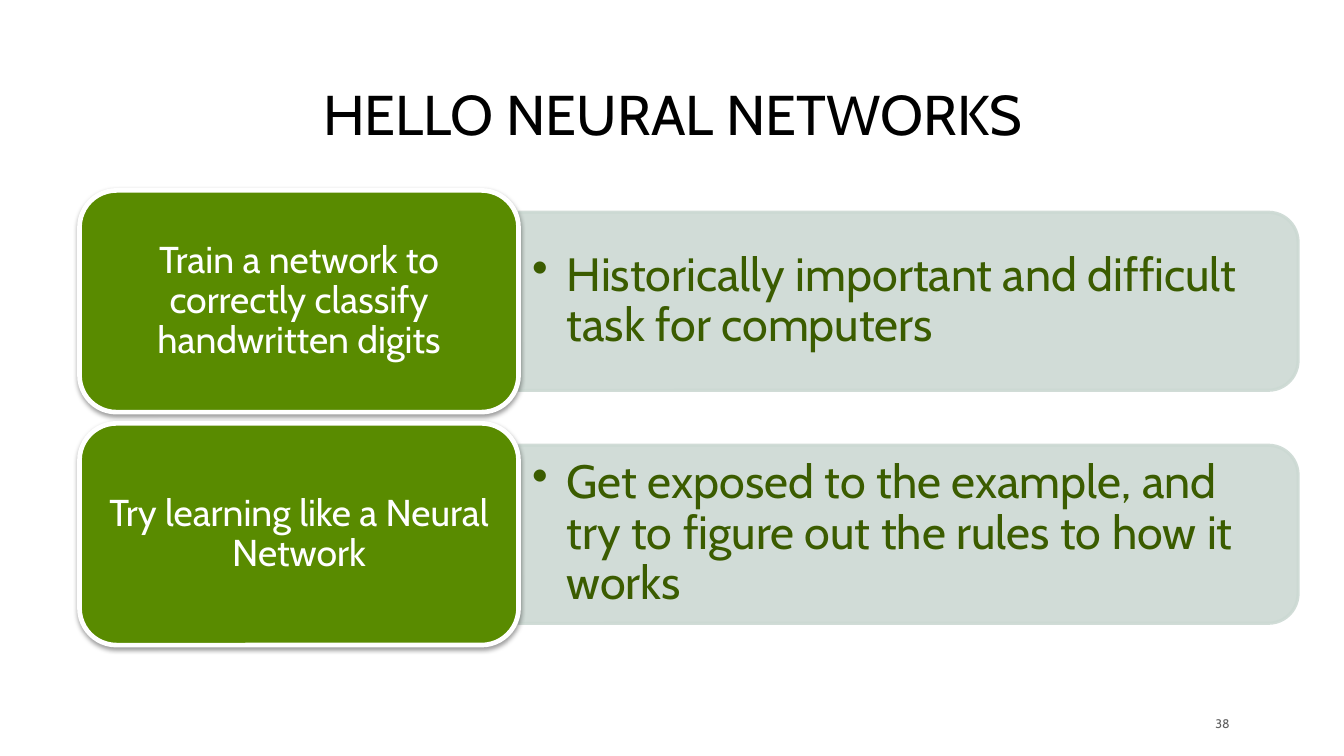
from dataclasses import dataclass

from lxml.etree import SubElement
from pptx import Presentation
from pptx.dml.color import RGBColor
from pptx.enum.shapes import MSO_SHAPE
from pptx.enum.text import MSO_ANCHOR, PP_ALIGN
from pptx.oxml.ns import qn
from pptx.util import Inches, Pt

FONT = "Cabin"
GREEN = "598B00"
DARK_GREEN = "3B5C00"
PALE_GREEN = "CCD9D3"
WHITE = "FFFFFF"
BLACK = "000000"
GRAY = "5E5E5E"

CARD_LEFT, CARD_TOP = 0.71, 1.7
CARD_WIDTH, CARD_HEIGHT = 3.92, 1.98
ROW_PITCH = 2.08
PANEL_WIDTH, PANEL_HEIGHT = 6.96, 1.59
DETAIL_WIDTH, DETAIL_HEIGHT = 6.89, 1.43
DETAIL_INDENT = 0.31


@dataclass
class Step:
    heading: str
    detail: str


STEPS = [
    Step(
        "Train a network to correctly classify handwritten digits",
        "Historically important and difficult task for computers",
    ),
    Step(
        "Try learning like a Neural Network",
        "Get exposed to the example, and try to figure out the rules to how it works",
    ),
]


def color(value: str) -> RGBColor:
    return RGBColor.from_string(value)


def write(frame, text: str, size: float, ink: str, align, anchor) -> None:
    frame.word_wrap = True
    frame.vertical_anchor = anchor
    paragraph = frame.paragraphs[0]
    paragraph.text = text
    paragraph.alignment = align
    paragraph.line_spacing = 0.9
    for run in paragraph.runs:
        run.font.name = FONT
        run.font.size = Pt(size)
        run.font.color.rgb = color(ink)


def set_margins(frame, side: float, end: float) -> None:
    frame.margin_left = frame.margin_right = Inches(side)
    frame.margin_top = frame.margin_bottom = Inches(end)


def paint(shape, fill: str, line: str, width: float) -> None:
    shape.shadow.inherit = False
    shape.fill.solid()
    shape.fill.fore_color.rgb = color(fill)
    shape.line.color.rgb = color(line)
    shape.line.width = Pt(width)


def add_panel(slide, center: float) -> None:
    middle = CARD_LEFT + CARD_WIDTH + PANEL_WIDTH / 2
    panel = slide.shapes.add_shape(
        MSO_SHAPE.ROUND_2_SAME_RECTANGLE,
        Inches(middle - PANEL_HEIGHT / 2), Inches(center - PANEL_WIDTH / 2),
        Inches(PANEL_HEIGHT), Inches(PANEL_WIDTH),
    )
    panel.rotation = 90
    paint(panel, PALE_GREEN, PALE_GREEN, 2)
    for tint in panel._element.spPr.iter(qn("a:srgbClr")):
        SubElement(tint, qn("a:alpha"), val="90000")


def add_detail(slide, text: str, center: float) -> None:
    detail = slide.shapes.add_textbox(
        Inches(CARD_LEFT + CARD_WIDTH), Inches(center - DETAIL_HEIGHT / 2),
        Inches(DETAIL_WIDTH), Inches(DETAIL_HEIGHT),
    )
    frame = detail.text_frame
    set_margins(frame, 0.12, 0.06)
    write(frame, text, 30, DARK_GREEN, PP_ALIGN.LEFT, MSO_ANCHOR.MIDDLE)
    paragraph = frame.paragraphs[0]
    paragraph.level = 1
    properties = paragraph._p.get_or_add_pPr()
    properties.set("marL", str(Inches(DETAIL_INDENT)))
    properties.set("indent", str(-Inches(DETAIL_INDENT)))
    SubElement(properties, qn("a:buChar"), char="•")


def add_card(slide, text: str, top: float) -> None:
    card = slide.shapes.add_shape(
        MSO_SHAPE.ROUNDED_RECTANGLE, Inches(CARD_LEFT), Inches(top),
        Inches(CARD_WIDTH), Inches(CARD_HEIGHT),
    )
    paint(card, GREEN, WHITE, 3)
    effects = card._element.spPr.find(qn("a:effectLst"))
    shadow = SubElement(
        effects, qn("a:outerShdw"), blurRad=str(Pt(3.1)), dist=str(Pt(1.6)),
        dir="5400000", rotWithShape="0",
    )
    tint = SubElement(shadow, qn("a:srgbClr"), val=BLACK)
    SubElement(tint, qn("a:alpha"), val="38000")
    set_margins(card.text_frame, 0.1, 0.05)
    write(card.text_frame, text, 24, WHITE, PP_ALIGN.CENTER, MSO_ANCHOR.MIDDLE)


def add_step(slide, step: Step, top: float) -> None:
    center = top + CARD_HEIGHT / 2
    add_panel(slide, center)
    add_detail(slide, step.detail, center)
    add_card(slide, step.heading, top)


def main() -> None:
    deck = Presentation()
    deck.slide_width, deck.slide_height = Inches(12), Inches(6.75)
    slide = deck.slides.add_slide(deck.slide_layouts[5])

    title = slide.shapes.title
    title.left, title.top = Inches(0.55), Inches(0.72)
    title.width, title.height = Inches(10.91), Inches(0.65)
    write(title.text_frame, "HELLO NEURAL NETWORKS", 36, BLACK,
          PP_ALIGN.CENTER, MSO_ANCHOR.BOTTOM)

    for index, step in enumerate(STEPS):
        add_step(slide, step, CARD_TOP + index * ROW_PITCH)

    page_number = slide.shapes.add_textbox(
        Inches(10.68), Inches(6.38), Inches(0.3), Inches(0.18)
    )
    set_margins(page_number.text_frame, 0, 0)
    write(page_number.text_frame, "38", 8, GRAY, PP_ALIGN.RIGHT, MSO_ANCHOR.MIDDLE)

    deck.save("out.pptx")


if __name__ == "__main__":
    main()
